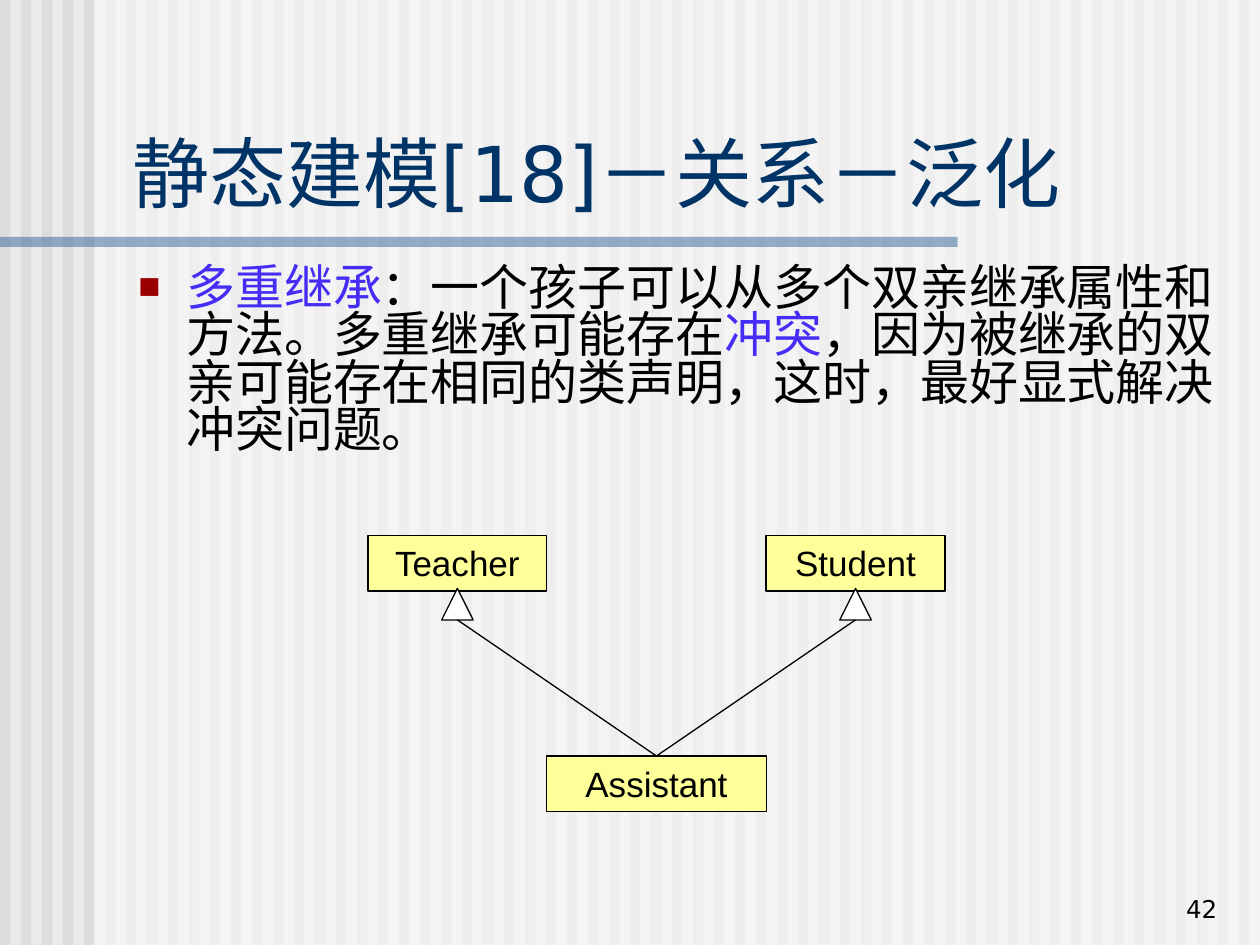
from dataclasses import dataclass

from lxml import etree
from pptx import Presentation
from pptx.dml.color import RGBColor
from pptx.enum.shapes import MSO_CONNECTOR, MSO_SHAPE
from pptx.enum.text import MSO_ANCHOR, MSO_AUTO_SIZE, PP_ALIGN
from pptx.oxml.ns import qn
from pptx.util import Inches, Pt

RECTANGLE, TRIANGLE = MSO_SHAPE.RECTANGLE, MSO_SHAPE.ISOSCELES_TRIANGLE
STRAIGHT = MSO_CONNECTOR.STRAIGHT
TOP, BOTTOM = MSO_ANCHOR.TOP, MSO_ANCHOR.BOTTOM
LEFT, CENTER, RIGHT = PP_ALIGN.LEFT, PP_ALIGN.CENTER, PP_ALIGN.RIGHT
NO_AUTOFIT = MSO_AUTO_SIZE.NONE

BACKGROUND = RGBColor(0xEA, 0xEA, 0xEA)
STRIPE = RGBColor(0xDD, 0xDD, 0xDD)
WHITE = RGBColor(0xFF, 0xFF, 0xFF)
BLACK = RGBColor(0, 0, 0)
RULE_BLUE = RGBColor(0x33, 0x66, 0x99)
TITLE_BLUE = RGBColor(0, 0x33, 0x66)
KEYWORD_BLUE = RGBColor(0x45, 0x2D, 0xF5)
CLASS_YELLOW = RGBColor(0xFF, 0xFF, 0x99)
BULLET_RED = "9A0000"

HEADING_FONT, LABEL_FONT = "DejaVu Sans", "Arial"
LINE_WIDTH = Pt(0.74)
STRIPE_COUNT = 60
CLASS_HEIGHT = 0.44
ARROW_SIZE = 0.25


@dataclass(frozen=True)
class ClassBox:
    """A class in the diagram, placed by its top centre."""
    name: str
    center: float
    top: float
    width: float


PARENTS = [ClassBox("Teacher", 3.63, 4.25, 1.42),
           ClassBox("Student", 6.79, 4.25, 1.42)]
CHILD = ClassBox("Assistant", 5.21, 6, 1.75)

DEFINITION = [
    ("多重继承", KEYWORD_BLUE),
    ("：一个孩子可以从多个双亲继承属性和方法。多重继承可能存在", BLACK),
    ("冲突", KEYWORD_BLUE),
    ("，因为被继承的双亲可能存在相同的类声明，这时，最好显式解决冲突问题。", BLACK),
]


def place(shape, left: float, top: float, width: float, height: float) -> None:
    """Set position and size in inches."""
    box = {"left": left, "top": top, "width": width, "height": height}
    for name, value in box.items():
        setattr(shape, name, Inches(value))


def add_filled(shapes, kind, left: float, top: float, width: float,
               height: float, fill: RGBColor, outlined: bool = False,
               opacity: int = 100):
    """Add a flat shape, optionally outlined or translucent."""
    shape = shapes.add_shape(kind, Inches(left), Inches(top),
                             Inches(width), Inches(height))
    shape.shadow.inherit = False
    shape.fill.solid()
    shape.fill.fore_color.rgb = fill
    if outlined:
        shape.line.color.rgb = BLACK
        shape.line.width = LINE_WIDTH
    else:
        shape.line.fill.background()
    if opacity < 100:
        color = shape.element.spPr.find(qn("a:solidFill"))[0]
        etree.SubElement(color, qn("a:alpha"), val=str(opacity * 1000))
    return shape


def write(shape, runs: list, font: str, size: float, align, anchor):
    """Write coloured runs as one paragraph and return it."""
    frame = shape.text_frame
    settings = {"word_wrap": True, "auto_size": NO_AUTOFIT,
                "vertical_anchor": anchor}
    for name, value in settings.items():
        setattr(frame, name, value)
    paragraph = frame.paragraphs[0]
    paragraph.alignment = align
    for text, color in runs:
        run = paragraph.add_run()
        run.text = text
        run.font.name = font
        run.font.size = Pt(size)
        run.font.color.rgb = color
        etree.SubElement(run.font._element, qn("a:ea"), typeface=font)
    return paragraph


def add_bullet(paragraph, indent: float) -> None:
    """Give a paragraph a hanging square bullet."""
    properties = paragraph._p.get_or_add_pPr()
    properties.set("marL", str(Inches(indent)))
    properties.set("indent", str(-Inches(indent)))
    color = etree.SubElement(properties, qn("a:buClr"))
    etree.SubElement(color, qn("a:srgbClr"), val=BULLET_RED)
    etree.SubElement(properties, qn("a:buSzPct"), val="75000")
    etree.SubElement(properties, qn("a:buFont"), typeface=LABEL_FONT)
    etree.SubElement(properties, qn("a:buChar"), char="■")


def add_backdrop(slide) -> None:
    """Draw the striped background, the pale panel and the title rule."""
    slide.background.fill.solid()
    slide.background.fill.fore_color.rgb = BACKGROUND
    backdrop = slide.shapes.add_group_shape().shapes
    for index in range(STRIPE_COUNT):
        add_filled(backdrop, RECTANGLE, index / 6, 0, 1 / 12, 7.5, STRIPE)
    add_filled(backdrop, RECTANGLE, 0.75, 0, 9.25, 7.5, WHITE, opacity=50)
    add_filled(backdrop, RECTANGLE, 0, 1.88, 7.6, 0.08, RULE_BLUE, opacity=50)


def add_class(slide, item: ClassBox) -> None:
    """Draw a class box with its name."""
    box = add_filled(slide.shapes, RECTANGLE, item.center - item.width / 2,
                     item.top, item.width, CLASS_HEIGHT, CLASS_YELLOW, True)
    write(box, [(item.name, BLACK)], LABEL_FONT, 20, CENTER, TOP)


def add_generalization(slide, child: ClassBox, parent: ClassBox) -> None:
    """Draw a hollow triangle under the parent and a line to the child."""
    top = parent.top + 0.42
    add_filled(slide.shapes, TRIANGLE, parent.center - ARROW_SIZE / 2, top,
               ARROW_SIZE, ARROW_SIZE, WHITE, True)
    line = slide.shapes.add_connector(
        STRAIGHT, Inches(parent.center), Inches(top + ARROW_SIZE),
        Inches(child.center), Inches(child.top))
    line.line.color.rgb = BLACK
    line.line.width = LINE_WIDTH
    etree.SubElement(line._element.spPr, qn("a:effectLst"))


def add_text(slide, left: float, top: float, width: float, height: float):
    """Add an empty text box."""
    return slide.shapes.add_textbox(Inches(left), Inches(top),
                                    Inches(width), Inches(height))


def main() -> None:
    """Build and save the slide."""
    deck = Presentation()
    deck.slide_width, deck.slide_height = Inches(10), Inches(7.5)
    slide = deck.slides.add_slide(deck.slide_layouts[5])
    add_backdrop(slide)

    title = slide.shapes.title
    title.element.getparent().append(title.element)
    place(title, 0.95, 0.94, 8.93, 0.84)
    write(title, [("静态建模[18]－关系－泛化", TITLE_BLUE)],
          HEADING_FONT, 44, LEFT, BOTTOM)

    definition = write(add_text(slide, 1, 2.08, 8.75, 1.75), DEFINITION,
                       HEADING_FONT, 28, LEFT, TOP)
    definition.line_spacing = 0.8
    definition.space_before = Pt(7)
    add_bullet(definition, 0.38)

    for item in [CHILD, *PARENTS]:
        add_class(slide, item)
    for parent in PARENTS:
        add_generalization(slide, CHILD, parent)

    write(add_text(slide, 7.68, 6.88, 2.08, 0.5), [("42", BLACK)],
          HEADING_FONT, 14, RIGHT, BOTTOM)
    deck.save("out.pptx")


main()
